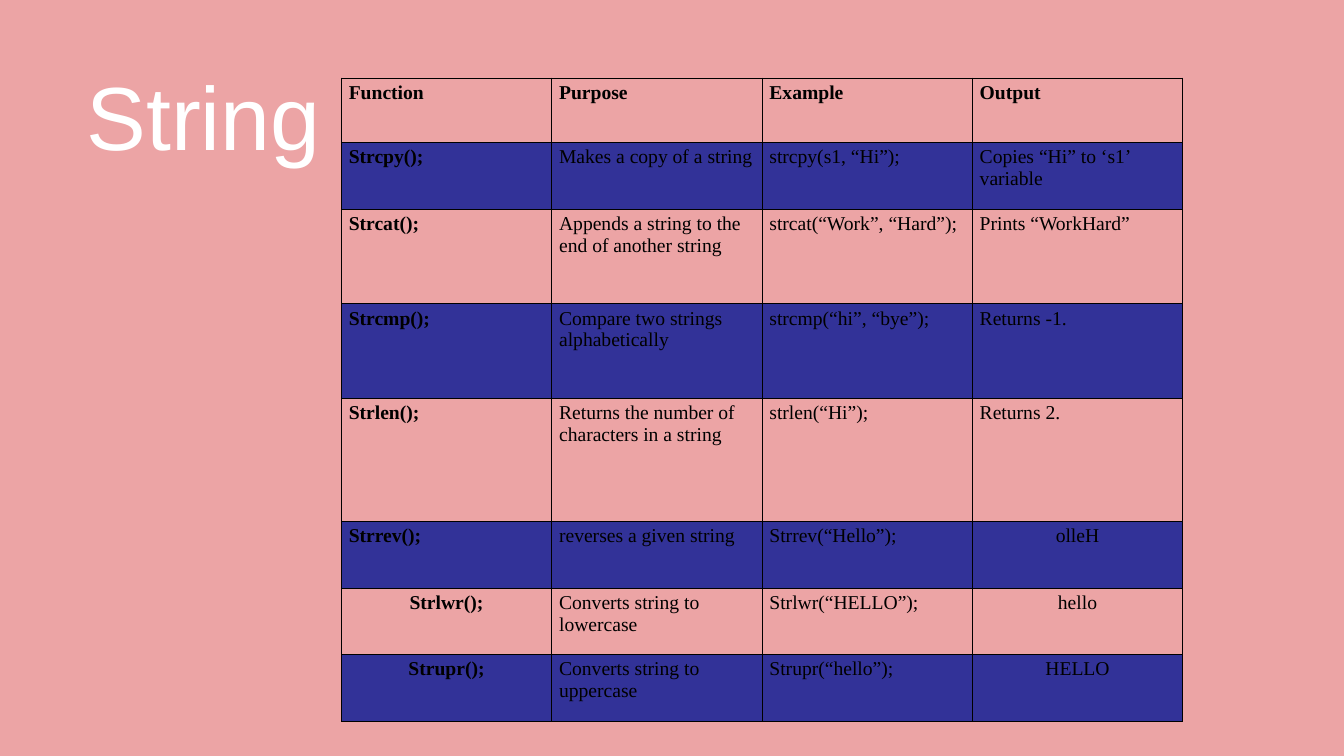
from lxml.etree import SubElement
from pptx import Presentation
from pptx.dml.color import RGBColor
from pptx.enum.text import PP_ALIGN
from pptx.oxml.ns import qn
from pptx.util import Inches, Pt

PINK = RGBColor(0xEC, 0xA4, 0xA5)
BLUE = RGBColor(0x32, 0x32, 0x98)
WHITE = RGBColor(0xFF, 0xFF, 0xFF)
BLACK = RGBColor(0, 0, 0)

ROW_HEIGHTS = [0.96, 0.99, 1.41, 1.41, 1.83, 0.99, 0.99, 0.99]
COLUMN_WIDTH = 3.13
CENTERED = {(5, 3), (6, 0), (6, 3), (7, 0), (7, 3)}
FUNCTIONS = [
    ("Function", "Purpose", "Example", "Output"),
    ("Strcpy();", "Makes a copy of a string", "strcpy(s1, “Hi”);", "Copies “Hi” to ‘s1’ variable"),
    ("Strcat();", "Appends a string to the end of another string", "strcat(“Work”, “Hard”);", "Prints “WorkHard”"),
    ("Strcmp();", "Compare two strings alphabetically", "strcmp(“hi”, “bye”);", "Returns -1."),
    ("Strlen();", "Returns the number of characters in a string", "strlen(“Hi”);", "Returns 2."),
    ("Strrev();", "reverses a given string", "Strrev(“Hello”);", "olleH"),
    ("Strlwr();", "Converts string to lowercase", "Strlwr(“HELLO”);", "hello"),
    ("Strupr();", "Converts string to uppercase", "Strupr(“hello”);", "HELLO"),
]


class Deck:
    title_font = "Arial"
    table_font = "Times New Roman"
    title_size = 96
    table_size = 21
    thin, thick = 0.67, 1.34

    def __init__(self, prs):
        self.s = prs.slides.add_slide(prs.slide_layouts[6])
        fill = self.s.background.fill
        fill.solid()
        fill.fore_color.rgb = PINK

    def run(self, p, text, font, size, color, bold=False):
        r = p.add_run()
        r.text = text
        r.font.name = font
        r.font.size = Pt(size)
        r.font.bold = bold
        r.font.color.rgb = color

    def title(self, text, x, y, w, h):
        sp = self.s.shapes.add_textbox(Inches(x), Inches(y), Inches(w), Inches(h))
        tf = sp.text_frame
        tf.word_wrap = True
        tf.margin_top = Inches(0.17)
        self.run(tf.paragraphs[0], text, self.title_font, self.title_size, WHITE)

    def borders(self, cell, top, bottom):
        tcPr = cell._tc.get_or_add_tcPr()
        sides = {"a:lnL": self.thin, "a:lnR": self.thin, "a:lnT": top, "a:lnB": bottom}
        for i, (tag, width) in enumerate(sides.items()):
            ln = SubElement(tcPr, qn(tag), w=str(Pt(width)))
            SubElement(SubElement(ln, qn("a:solidFill")), qn("a:srgbClr"), val=str(BLACK))
            tcPr.insert(i, ln)

    def cell(self, cell, text, row, col):
        cell.margin_left = cell.margin_right = Inches(0.11)
        cell.margin_top = cell.margin_bottom = Inches(0.06)
        if row % 2:
            cell.fill.solid()
            cell.fill.fore_color.rgb = BLUE
        else:
            cell.fill.background()
        self.borders(cell, self.thick if row == 1 else self.thin,
                     self.thick if row == 0 else self.thin)
        p = cell.text_frame.paragraphs[0]
        if (row, col) in CENTERED:
            p.alignment = PP_ALIGN.CENTER
        bold = row == 0 or col == 0
        self.run(p, text, self.table_font, self.table_size, BLACK, bold)

    def table(self, rows, x, y, column_width, heights):
        cols = len(rows[0])
        frame = self.s.shapes.add_table(
            len(rows), cols, Inches(x), Inches(y),
            Inches(column_width * cols), Inches(sum(heights)))
        table = frame.table
        for column in table.columns:
            column.width = Inches(column_width)
        for i, (texts, height) in enumerate(zip(rows, heights)):
            table.rows[i].height = Inches(height)
            for j, text in enumerate(texts):
                self.cell(table.cell(i, j), text, i, j)


def main():
    prs = Presentation()
    prs.slide_width = Inches(20)
    prs.slide_height = Inches(11.25)
    deck = Deck(prs)
    deck.title("String", 1.19, 0.74, 12.75, 2.41)
    deck.table(FUNCTIONS, 5.08, 1.16, COLUMN_WIDTH, ROW_HEIGHTS)
    prs.save("out.pptx")


if __name__ == "__main__":
    main()
